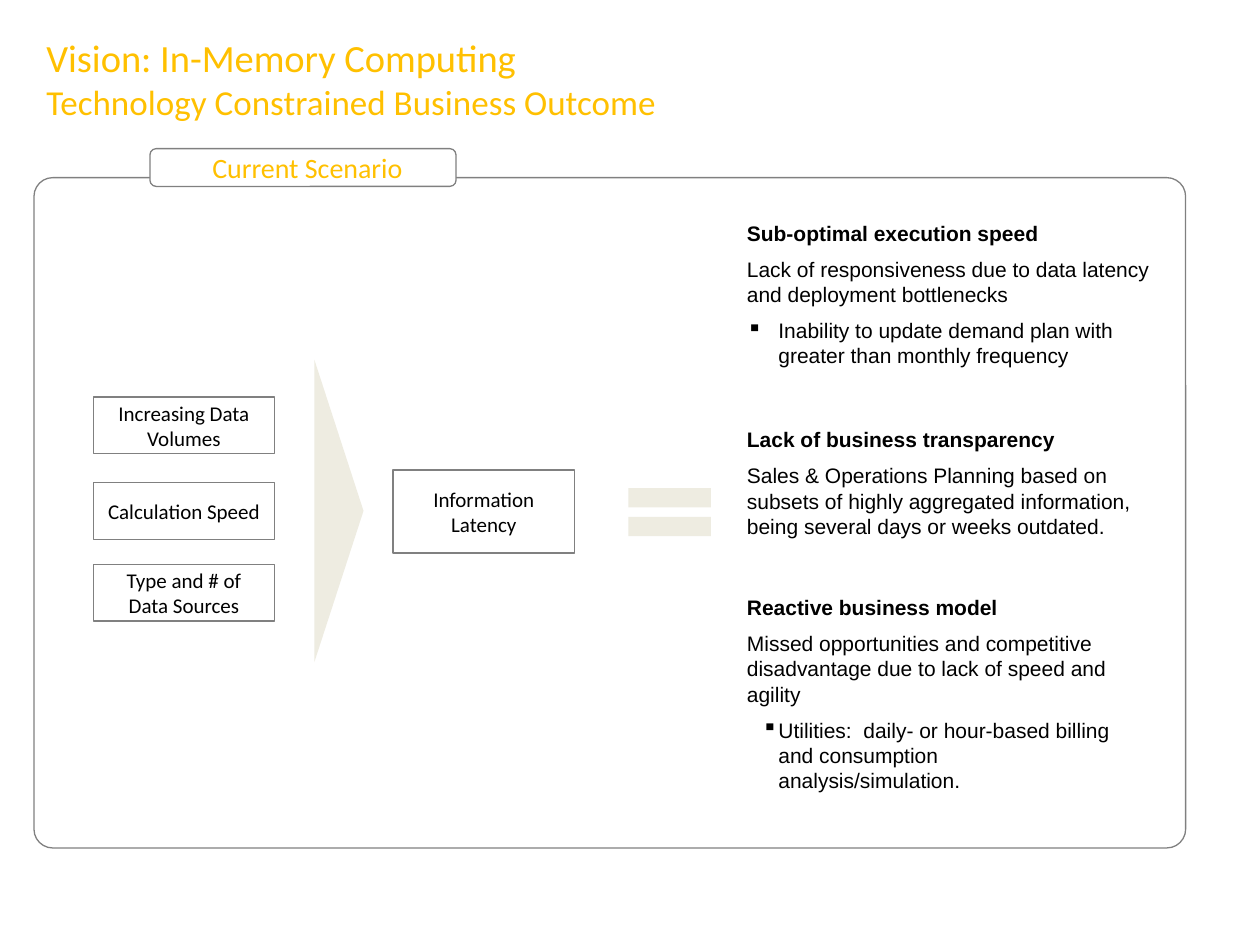
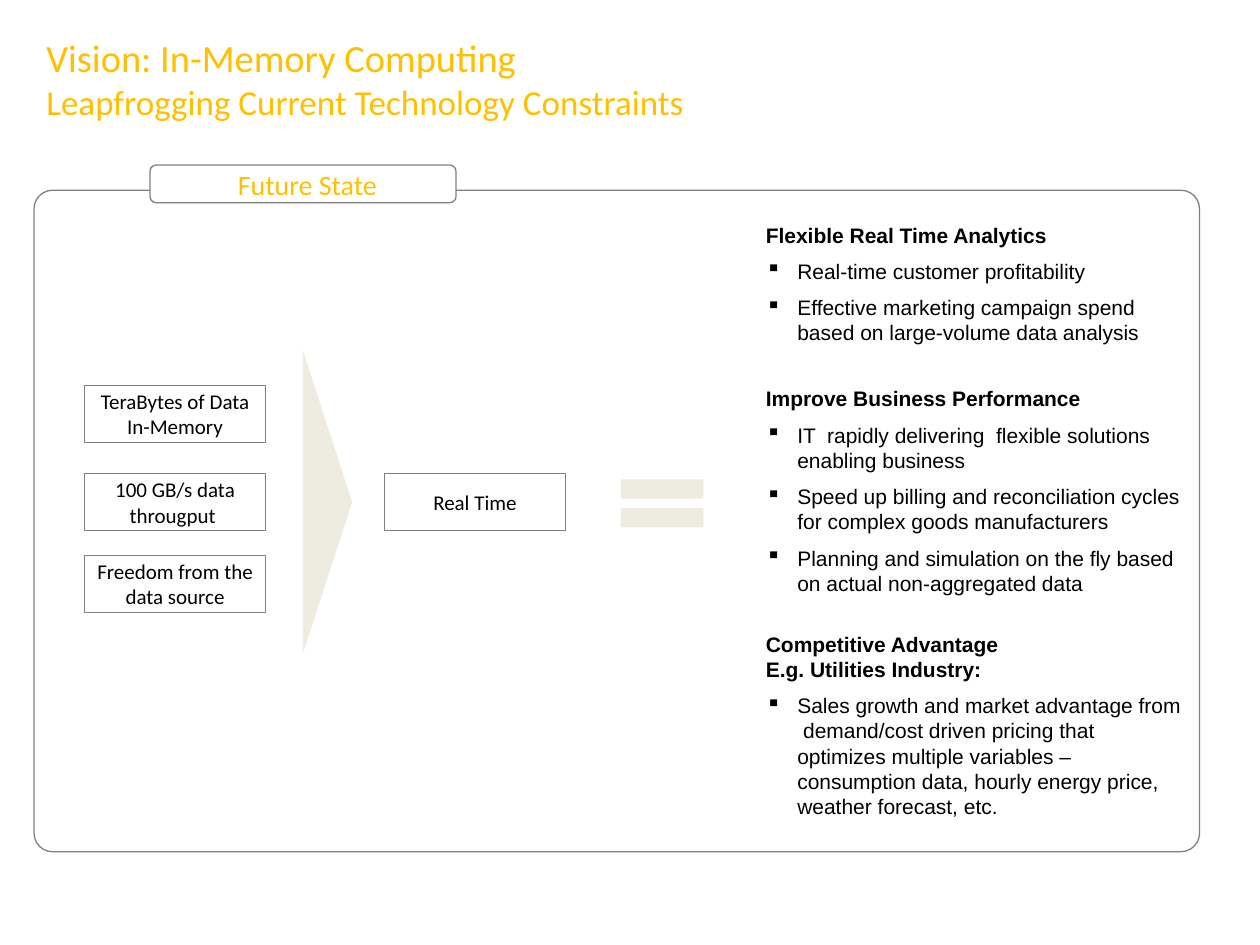
from pptx import Presentation
from pptx.dml.color import RGBColor
from pptx.enum.shapes import MSO_SHAPE
from pptx.enum.text import MSO_ANCHOR, PP_ALIGN
from pptx.oxml.ns import qn
from pptx.util import Emu, Pt
from lxml import etree

PX = 9144  # 100 px to the inch

GOLD = RGBColor(0xFF, 0xC0, 0x00)
GREY = RGBColor(0x80, 0x80, 0x80)
SAND = RGBColor(0xEE, 0xEC, 0xE1)
WHITE = RGBColor(0xFF, 0xFF, 0xFF)
BLACK = RGBColor(0x00, 0x00, 0x00)

RECT = MSO_SHAPE.RECTANGLE
ROUND = MSO_SHAPE.ROUNDED_RECTANGLE
WEDGE = MSO_SHAPE.ISOSCELES_TRIANGLE
EQUALS = MSO_SHAPE.MATH_EQUAL
MIDDLE = MSO_ANCHOR.MIDDLE
LEFT, CENTER = PP_ALIGN.LEFT, PP_ALIGN.CENTER

HEAD = "Vision: In-Memory Computing"


def px(*sizes):
    return [Emu(size * PX) for size in sizes]


def add_form(slide, kind, place, fill=None, line=None):
    form = slide.shapes.add_shape(kind, *px(*place))
    form.shadow.inherit = False
    if fill is None:
        form.fill.background()
    else:
        form.fill.solid()
        form.fill.fore_color.rgb = fill
    if line is None:
        form.line.fill.background()
    else:
        form.line.color.rgb = line
        form.line.width = Pt(0.75)
    return form


def set_frame(form):
    frame = form.text_frame
    frame.word_wrap = True
    frame.vertical_anchor = MIDDLE
    frame.margin_left, frame.margin_right = px(10, 10)
    frame.margin_top, frame.margin_bottom = px(8, 8)
    return frame


def next_par(frame, index):
    return frame.paragraphs[0] if index == 0 else frame.add_paragraph()


def add_text(par, text, size, font, color, bold=False, align=LEFT):
    par.alignment = align
    for index, part in enumerate(text.split("\n")):
        if index:
            par.add_line_break()
        run = par.add_run()
        run.text = part
        run.font.size = Pt(size)
        run.font.name = font
        run.font.bold = bold
        run.font.color.rgb = color


def set_bullet(par, hang):
    props = par._p.get_or_add_pPr()
    props.set("marL", str(25 * PX))
    props.set("indent", str(-hang * PX))
    etree.SubElement(props, qn("a:buChar")).set("char", "▪")


def add_title(slide, second):
    frame = slide.shapes.add_textbox(*px(27, 22, 783, 78)).text_frame
    frame.word_wrap = True
    for index, (text, size) in enumerate([(HEAD, 22), (second, 20)]):
        add_text(next_par(frame, index), text, size, "Calibri", GOLD)


def add_box(slide, text, place):
    frame = set_frame(add_form(slide, RECT, place, WHITE, GREY))
    add_text(frame.paragraphs[0], text, 12, "Calibri", BLACK, align=CENTER)


def add_flow(slide, inputs, left, tops, result, spot, wedge, equals):
    # Inputs, wedge, result and equals sign
    for text, top in zip(inputs, tops):
        add_box(slide, text, (left, top, 144, 45))
    add_form(slide, WEDGE, (*wedge, 240, 39), SAND).rotation = 90
    add_box(slide, result, spot)
    add_form(slide, EQUALS, (*equals, 89, 65), SAND)


def add_block(slide, place, head, lines, fill=None, hang=25):
    """Bold heading, then plain lines; a line that starts with ▪ is a bullet."""
    frame = set_frame(add_form(slide, RECT, place, fill))
    for index, text in enumerate([head, *lines]):
        par = next_par(frame, index)
        par.space_before = Pt(6.3)
        add_text(par, text.lstrip("▪"), 12, "Arial", BLACK, index == 0)
        if text.startswith("▪"):
            set_bullet(par, hang)


def add_panel(slide, label, place, top):
    # Outline with the label on its upper edge
    add_form(slide, ROUND, place, line=GREY).adjustments[0] = 0.028
    add_form(slide, ROUND, (119, top, 243, 30), WHITE, GREY)
    frame = set_frame(add_form(slide, ROUND, (145, top, 198, 30)))
    add_text(frame.paragraphs[0], label, 16, "Calibri", GOLD, align=CENTER)


def add_current(slide):
    add_title(slide, "Technology Constrained Business Outcome")
    add_flow(slide,
             ["Increasing Data Volumes", "Calculation Speed",
              "Type and # of Data Sources"],
             74, (315, 383, 448), "Information Latency",
             (312, 373, 144, 66), (149, 386), (487, 374))
    add_block(slide, (583, 308, 357, 150), "Lack of business transparency",
              ["Sales & Operations Planning based on subsets of highly "
               "aggregated information, being several days or weeks outdated."],
              WHITE)
    add_block(slide, (583, 458, 310, 185), "Reactive business model",
              ["Missed opportunities and competitive disadvantage due to lack "
               "of speed and agility",
               "▪Utilities:  daily- or hour-based billing and consumption "
               "analysis/simulation."], WHITE, hang=13)
    add_block(slide, (583, 150, 350, 167), "Sub-optimal execution speed",
              ["Lack of responsiveness due to data latency and deployment "
               "bottlenecks",
               "▪Inability to update demand plan with greater than monthly "
               "frequency"], WHITE)
    add_panel(slide, "Current Scenario", (27, 141, 914, 532), 118)


def add_future(slide):
    add_title(slide, "Leapfrogging Current Technology Constraints")
    add_flow(slide,
             ["TeraBytes of Data In-Memory", "100 GB/s data througput ",
              "Freedom from the data source"],
             67, (306, 376, 441), "Real Time",
             (305, 376, 144, 45), (140, 379), (481, 367))
    add_block(slide, (598, 159, 354, 132), "Flexible Real Time Analytics",
              ["▪Real-time customer profitability",
               "▪Effective marketing campaign spend based on large-volume "
               "data analysis"])
    add_block(slide, (598, 293, 354, 193), "Improve Business Performance",
              ["▪IT  rapidly delivering  flexible solutions enabling business",
               "▪Speed up billing and reconciliation cycles for complex goods "
               "manufacturers",
               "▪Planning and simulation on the fly based on actual "
               "non-aggregated data"])
    add_block(slide, (598, 482, 354, 187),
              "Competitive Advantage\nE.g. Utilities Industry:",
              ["▪Sales growth and market advantage from  demand/cost driven "
               "pricing that optimizes multiple variables – consumption data, "
               "hourly energy price, weather forecast, etc."])
    add_panel(slide, "Future State", (27, 151, 925, 525), 131)


def main():
    deck = Presentation()
    deck.slide_width, deck.slide_height = px(1000, 750)
    for build in (add_current, add_future):
        build(deck.slides.add_slide(deck.slide_layouts[6]))
    deck.save("out.pptx")


if __name__ == "__main__":
    main()
